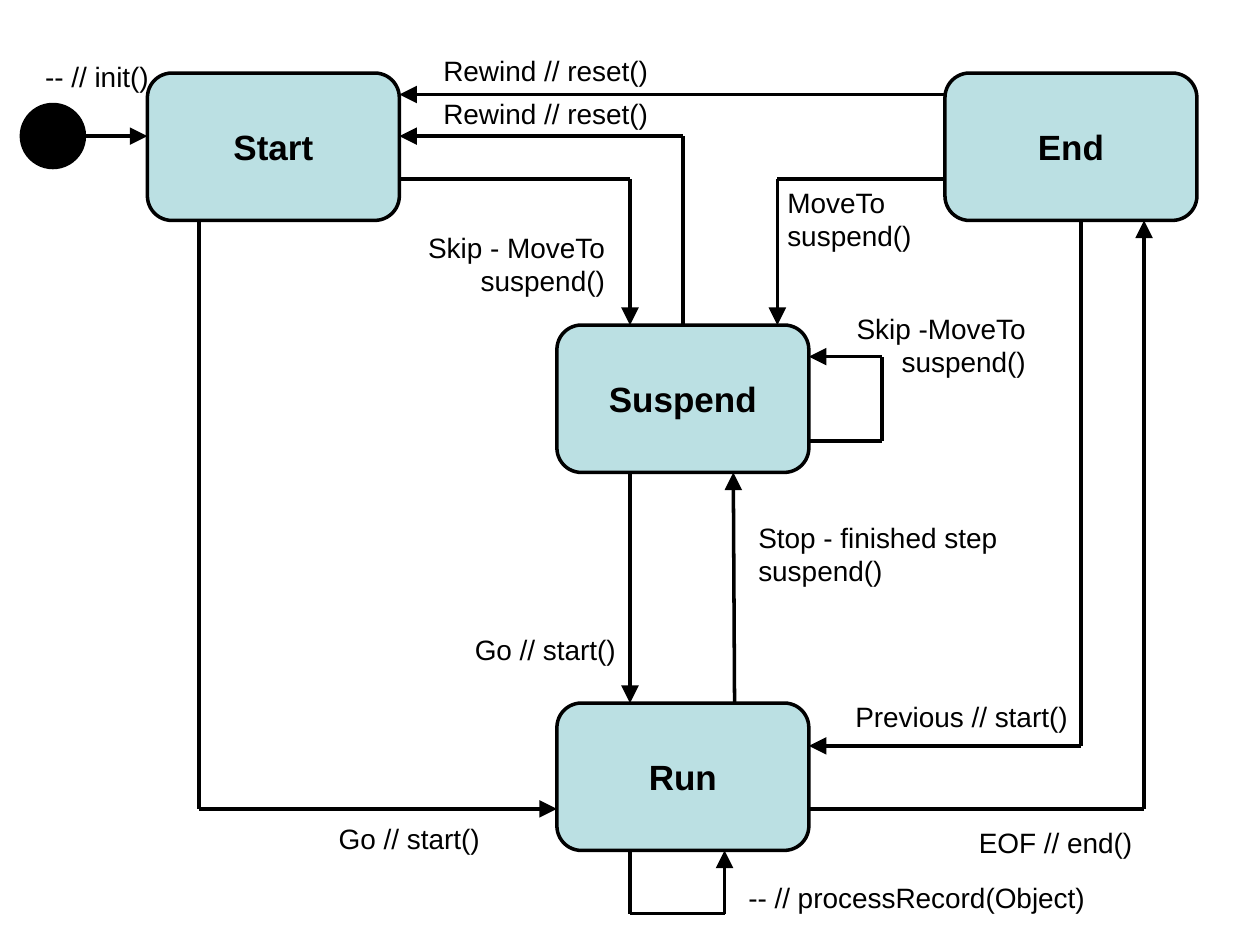
from typing import NamedTuple

from lxml.etree import SubElement
from pptx import Presentation
from pptx.dml.color import RGBColor
from pptx.enum.shapes import MSO_CONNECTOR as Connector, MSO_SHAPE as Preset
from pptx.enum.text import MSO_ANCHOR as Anchor, MSO_AUTO_SIZE as AutoSize, PP_ALIGN as Align
from pptx.oxml.ns import qn
from pptx.util import Inches, Pt

BLACK, STATE_FILL = "000000", "BBE0E3"
STATE_WIDTH, STATE_HEIGHT = 2, 1.17
LINE_WIDTH = Pt(2)
LABEL_SLACK = 0.04  # spare width that keeps tight labels from wrapping


class State(NamedTuple):
    name: str
    left: float
    top: float


class Label(NamedTuple):
    text: str  # \v breaks a line, \n starts a paragraph
    left: float
    top: float
    width: float
    align: Align = Align.LEFT


STATES = [
    State("Suspend", 4.42, 2.58),
    State("Run", 4.42, 5.58),
    State("End", 7.5, 0.58),
    State("Start", 1.17, 0.58),
]

# Corner points of each transition; the arrowhead is at the last one.
TRANSITIONS = [
    [(0.67, 1.08), (1.17, 1.08)],
    [(1.58, 1.75), (1.58, 6.42), (4.42, 6.42)],
    [(5, 3.75), (5, 5.58)],
    [(5.83, 5.58), (5.82, 3.75)],
    [(6.42, 6.42), (9.08, 6.42), (9.08, 1.75)],
    [(8.58, 1.75), (8.58, 5.92), (6.42, 5.92)],
    [(3.17, 1.42), (5, 1.42), (5, 2.58)],
    [(5.42, 2.58), (5.42, 1.08), (3.17, 1.08)],
    [(7.5, 0.75), (3.17, 0.75)],
    [(7.5, 1.42), (6.17, 1.42), (6.17, 2.58)],
    [(6.42, 3.5), (7, 3.5), (7, 2.83), (6.42, 2.83)],
    [(5, 6.75), (5, 7.25), (5.75, 7.25), (5.75, 6.75)],
]

LABELS = [
    Label("Go // start()", 2.59, 6.47, 1.32),
    Label("Go // start()", 3.67, 4.97, 1.32),
    Label("-- // processRecord(Object)", 5.84, 6.94, 2.87),
    Label("Skip - MoveTo\vsuspend()", 3.27, 1.78, 1.63, Align.RIGHT),
    Label("Skip -MoveTo\vsuspend()", 6.68, 2.42, 1.56, Align.RIGHT),
    Label("Rewind // reset()", 3.42, 0.38, 1.82),
    Label("Rewind // reset()", 3.42, 0.72, 1.82),
    Label("MoveTo\vsuspend()", 6.15, 1.42, 1.18),
    Label("Stop - finished step\nsuspend()", 5.92, 4.08, 2.1),
    Label("EOF // end()", 7.67, 6.5, 1.42),
    Label("Previous // start()", 6.69, 5.5, 1.89),
    Label("-- // init()", 0.26, 0.42, 1.02),
]


def color(value: str) -> RGBColor:
    return RGBColor.from_string(value)


def write(shape, text: str, *, size: float, bold: bool = False,
          align: Align = Align.LEFT, anchor: Anchor = Anchor.TOP) -> None:
    frame = shape.text_frame
    frame.word_wrap = False
    frame.vertical_anchor = anchor
    frame.text = text
    for para in frame.paragraphs:
        para.alignment = align
        for span in para.runs:
            span.font.name = "Arial"
            span.font.size = Pt(size)
            span.font.bold = bold
            span.font.color.rgb = color(BLACK)


def add_outlined(page, preset: Preset, left: float, top: float,
                 width: float, height: float, fill: str):
    shape = page.shapes.add_shape(
        preset, Inches(left), Inches(top), Inches(width), Inches(height))
    shape.shadow.inherit = False
    shape.fill.solid()
    shape.fill.fore_color.rgb = color(fill)
    shape.line.color.rgb = color(BLACK)
    shape.line.width = LINE_WIDTH
    return shape


def add_state(page, state: State) -> None:
    box = add_outlined(page, Preset.ROUNDED_RECTANGLE, state.left, state.top,
                       STATE_WIDTH, STATE_HEIGHT, STATE_FILL)
    write(box, state.name, size=20, bold=True, align=Align.CENTER, anchor=Anchor.MIDDLE)


def add_transition(page, points: list[tuple[float, float]]) -> None:
    """Draw straight segments through the points, with an arrowhead at the end."""
    for start, end in zip(points, points[1:]):
        segment = page.shapes.add_connector(
            Connector.STRAIGHT, *map(Inches, start), *map(Inches, end))
        segment.line.color.rgb = color(BLACK)
        segment.line.width = LINE_WIDTH
        properties = segment._element.spPr
        SubElement(properties, qn("a:effectLst"))
    SubElement(properties.find(qn("a:ln")), qn("a:tailEnd"),
               type="triangle", w="lg", len="lg")


def add_label(page, label: Label) -> None:
    height = 0.64 if len(label.text.splitlines()) > 1 else 0.37
    left = label.left - (LABEL_SLACK if label.align == Align.RIGHT else 0)
    box = page.shapes.add_textbox(
        Inches(left), Inches(label.top), Inches(label.width + LABEL_SLACK), Inches(height))
    write(box, label.text, size=16, align=label.align)
    box.text_frame.auto_size = AutoSize.SHAPE_TO_FIT_TEXT


def main() -> None:
    deck = Presentation()
    deck.slide_width, deck.slide_height = Inches(10), Inches(7.5)
    page = deck.slides.add_slide(deck.slide_layouts[6])
    for state in STATES:
        add_state(page, state)
    add_outlined(page, Preset.OVAL, 0.17, 0.83, 0.5, 0.5, BLACK)
    for points in TRANSITIONS:
        add_transition(page, points)
    for label in LABELS:
        add_label(page, label)
    deck.save("out.pptx")


if __name__ == "__main__":
    main()
